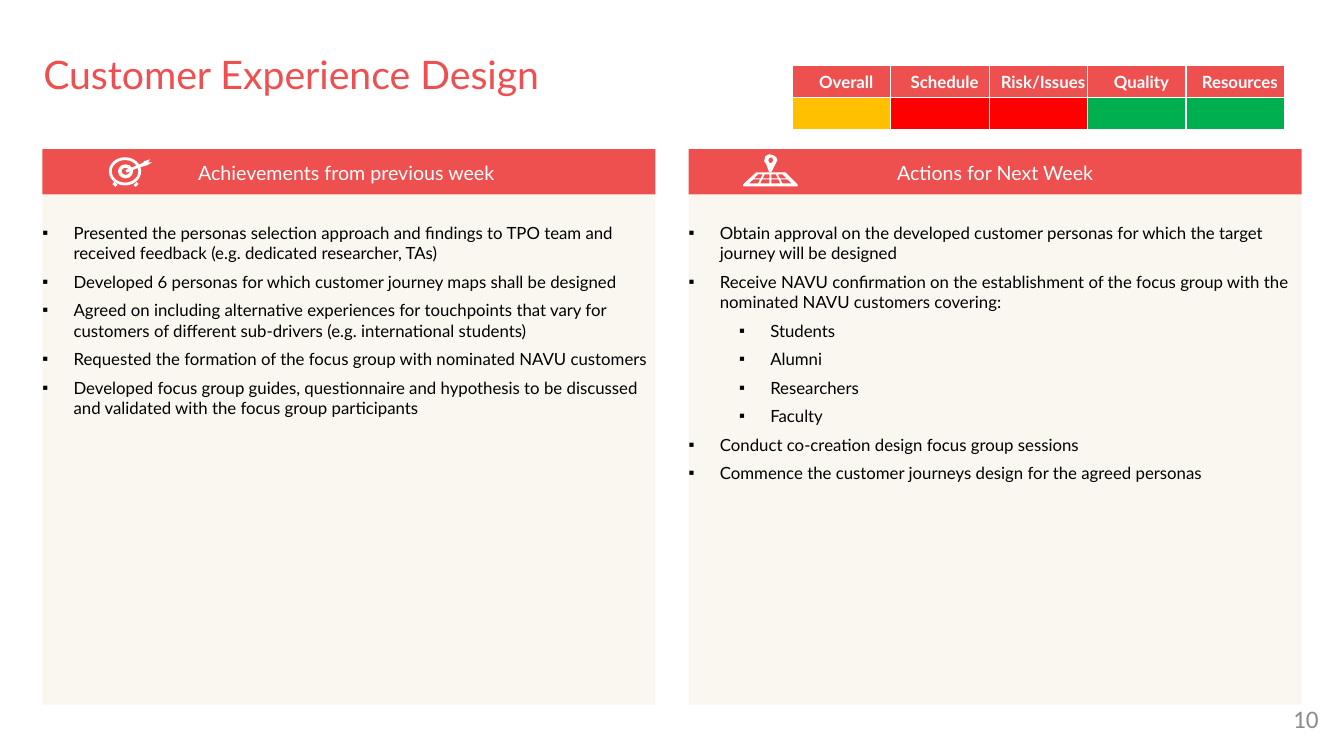
from dataclasses import dataclass

from lxml import etree
from pptx import Presentation
from pptx.dml.color import RGBColor
from pptx.enum.shapes import MSO_CONNECTOR, MSO_SHAPE
from pptx.enum.text import MSO_ANCHOR, MSO_AUTO_SIZE, PP_ALIGN
from pptx.oxml.ns import qn
from pptx.util import Inches, Pt

LEFT, MID, RIGHT = PP_ALIGN.LEFT, PP_ALIGN.CENTER, PP_ALIGN.RIGHT
TOP, CENTER = MSO_ANCHOR.TOP, MSO_ANCHOR.MIDDLE
FIXED = MSO_AUTO_SIZE.NONE
RECT, RING = MSO_SHAPE.RECTANGLE, MSO_SHAPE.DONUT
STRAIGHT = MSO_CONNECTOR.STRAIGHT
RED, CREAM, WHITE, BLACK = "EE504F", "F9F7EF", "FFFFFF", "000000"
WIDE = 6.08


@dataclass
class Item:
    """One bullet and its level."""
    text: str
    level: int = 0


@dataclass
class Panel:
    """A headed list and its left edge."""
    left: float
    head: str
    items: list[Item]


@dataclass
class Status:
    """One column of the status table."""
    name: str
    color: str


PANELS = [
    Panel(0.42, "Achievements from previous week ", [
        Item("Presented the personas selection approach and findings to TPO team and received feedback (e.g. dedicated researcher, TAs)"),
        Item("Developed 6 personas for which customer journey maps shall be designed"),
        Item("Agreed on including alternative experiences for touchpoints that vary for customers of different sub-drivers (e.g. international students)"),
        Item("Requested the formation of the focus group with nominated NAVU customers"),
        Item("Developed focus group guides, questionnaire and hypothesis to be discussed and validated with the focus group participants"),
    ]),
    Panel(6.83, "Actions for Next Week", [
        Item("Obtain approval on the developed customer personas for which the target journey will be designed"),
        Item("Receive NAVU confirmation on the establishment of the focus group with the nominated NAVU customers covering:"),
        Item("Students", 1),
        Item("Alumni", 1),
        Item("Researchers", 1),
        Item("Faculty", 1),
        Item("Conduct co-creation design focus group sessions"),
        Item("Commence the customer journeys design for the agreed personas"),
    ]),
]
STATES = [
    Status("Overall", "FFC000"),
    Status("Schedule", "FF0000"),
    Status("Risk/Issues", "FF0000"),
    Status("Quality", "00B050"),
    Status("Resources", "00B050"),
]
DART = [(1.38, 1.66), (1.43, 1.6), (1.49, 1.58), (1.47, 1.61), (1.51, 1.61), (1.46, 1.64)]
PIN = [(7.63, 1.53), (7.59, 1.55), (7.58, 1.6), (7.6, 1.63), (7.63, 1.71), (7.65, 1.71),
       (7.69, 1.63), (7.71, 1.59), (7.7, 1.56), (7.67, 1.54)]
HOLE = [(7.65, 1.56), (7.63, 1.57), (7.62, 1.59), (7.63, 1.61), (7.64, 1.62),
        (7.66, 1.61), (7.67, 1.59), (7.66, 1.57)]
FIELD = [(7.5, 1.71), (7.37, 1.83), (7.37, 1.85), (7.91, 1.85), (7.91, 1.83), (7.79, 1.71)]


def paint(fill, color: str) -> None:
    """Make a fill solid in a hex colour."""
    fill.solid()
    fill.fore_color.rgb = RGBColor.from_string(color)


def place(shape, left: float, top: float, width: float, height: float) -> None:
    """Move and size a shape in inches."""
    shape.left, shape.top = Inches(left), Inches(top)
    shape.width, shape.height = Inches(width), Inches(height)


def fit(frame, anchor, top: float = 0) -> None:
    """Set the wrap, anchor and insets of a text frame."""
    frame.word_wrap, frame.auto_size = True, FIXED
    frame.vertical_anchor = anchor
    frame.margin_left = frame.margin_right = frame.margin_bottom = 0
    frame.margin_top = Inches(top)


def write(frame, text: str, size: float = 12, color: str = BLACK, font: str = "Lato",
          bold: bool = False, align=LEFT, after: float = 0, level: int = 0,
          indent: float = 0, hang: float = 0, bullet: str = "") -> None:
    """Write one paragraph with its format."""
    para = frame.paragraphs[0] if not frame.text else frame.add_paragraph()
    para.alignment, para.level = align, level
    para.space_before, para.space_after = Pt(0), Pt(after)
    props = para._p.get_or_add_pPr()
    props.set("marL", str(Inches(indent)))
    props.set("indent", str(Inches(-hang)))
    if bullet:
        etree.SubElement(props, qn("a:buChar")).set("char", bullet)
    run = para.add_run()
    run.text = text
    run.font.size, run.font.name, run.font.bold = Pt(size), font, bold
    paint(run.font.fill, color)


def plain(shape, color: str) -> None:
    """Fill a shape without line or shadow."""
    paint(shape.fill, color)
    shape.line.fill.background()
    shape.shadow.inherit = False


def block(slide, kind, box: tuple, color: str):
    """Add a plain preset shape."""
    shape = slide.shapes.add_shape(kind, *map(Inches, box))
    plain(shape, color)
    return shape


def ring(slide, box: tuple, thick: float) -> None:
    """Add a white ring."""
    block(slide, RING, box, WHITE).adjustments[0] = thick


def line(slide, ends: tuple, width: float) -> None:
    """Add a white straight line."""
    link = slide.shapes.add_connector(STRAIGHT, *map(Inches, ends))
    paint(link.line.fill, WHITE)
    link.line.width = Pt(width)
    etree.SubElement(link._element.spPr, qn("a:effectLst"))


def outline(slide, *loops: list[tuple]) -> None:
    """Add a white shape whose later loops are holes."""
    maker = slide.shapes.build_freeform(*map(Inches, loops[0][0]))
    for loop in loops:
        spots = [(Inches(x), Inches(y)) for x, y in loop]
        maker.move_to(*spots[0])
        maker.add_line_segments(spots[1:])
    plain(maker.convert_to_shape(), WHITE)


def target(slide) -> None:
    """Draw the target icon."""
    ring(slide, (1.08, 1.56, 0.32, 0.28), 0.1)
    ring(slide, (1.17, 1.63, 0.15, 0.14), 0.25)
    for ends in ((1.15, 1.82, 1.13, 1.84), (1.34, 1.82, 1.36, 1.84)):
        line(slide, ends, 3)
    line(slide, (1.25, 1.7, 1.42, 1.63), 2)
    outline(slide, DART)


def chart(slide) -> None:
    """Draw the map icon with its pin."""
    cells = []
    for top, high, low, wide in ((1.73, 0.13, 1.77, 0.17), (1.78, 0.18, 1.82, 0.22)):
        for col in range(-2, 2):
            start, end = col / 2, (col + 1) / 2
            cells.append([(7.65 + start * high, top), (7.65 + start * wide, low),
                          (7.63 + end * wide, low), (7.63 + end * high, top)])
    outline(slide, FIELD, *cells)
    outline(slide, PIN, HOLE)


def edge(cell) -> None:
    """Give a cell thin white borders."""
    props = cell._tc.get_or_add_tcPr()
    for spot, side in enumerate(("lnL", "lnR", "lnT", "lnB")):
        border = etree.Element(qn(f"a:{side}"), w=str(Pt(1)))
        solid = etree.SubElement(border, qn("a:solidFill"))
        etree.SubElement(solid, qn("a:srgbClr")).set("val", WHITE)
        props.insert(spot, border)


def grid(slide) -> None:
    """Add the status table."""
    box = map(Inches, (7.86, 0.65, 4.88, 0.64))
    table = slide.shapes.add_table(2, len(STATES), *box).table
    for col, state in enumerate(STATES):
        for row, color in enumerate((RED, state.color)):
            cell = table.cell(row, col)
            cell.margin_left = cell.margin_right = 0
            cell.margin_top = cell.margin_bottom = 0
            cell.vertical_anchor = CENTER
            paint(cell.fill, color)
            edge(cell)
        write(table.cell(0, col).text_frame, state.name, color=WHITE, bold=True,
              align=MID, indent=0.09)


def column(slide, panel: Panel, body) -> None:
    """Fill one panel with its header and list."""
    place(body, panel.left, 1.93, WIDE, 5.06)
    paint(body.fill, CREAM)
    fit(body.text_frame, TOP, 0.28)
    for item in panel.items:
        write(body.text_frame, item.text, after=6, level=item.level,
              indent=0.31 + item.level * 0.5, hang=0.31, bullet="▪")
    head = block(slide, RECT, (panel.left, 1.48, WIDE, 0.45), RED)
    fit(head.text_frame, CENTER, 0.01)
    write(head.text_frame, panel.head, size=14, color=WHITE, align=MID)


def main() -> None:
    """Build and save the slide."""
    deck = Presentation()
    deck.slide_width, deck.slide_height = Inches(13.33), Inches(7.5)
    slide = deck.slides.add_slide(deck.slide_layouts[3])
    title, *bodies = slide.placeholders
    place(title, 0.43, 0.5, 11.98, 0.47)
    fit(title.text_frame, CENTER)
    write(title.text_frame, "Customer Experience Design", size=28, color="EE4F50")
    for panel, body in zip(PANELS, bodies):
        column(slide, panel, body)
    target(slide)
    chart(slide)
    grid(slide)
    page = slide.shapes.add_textbox(*map(Inches, (10.01, 6.98, 3.07, 0.38)))
    fit(page.text_frame, TOP)
    write(page.text_frame, "10", size=18, color="8C8C8C", font="Calibri", align=RIGHT)
    deck.save("out.pptx")


if __name__ == "__main__":
    main()
